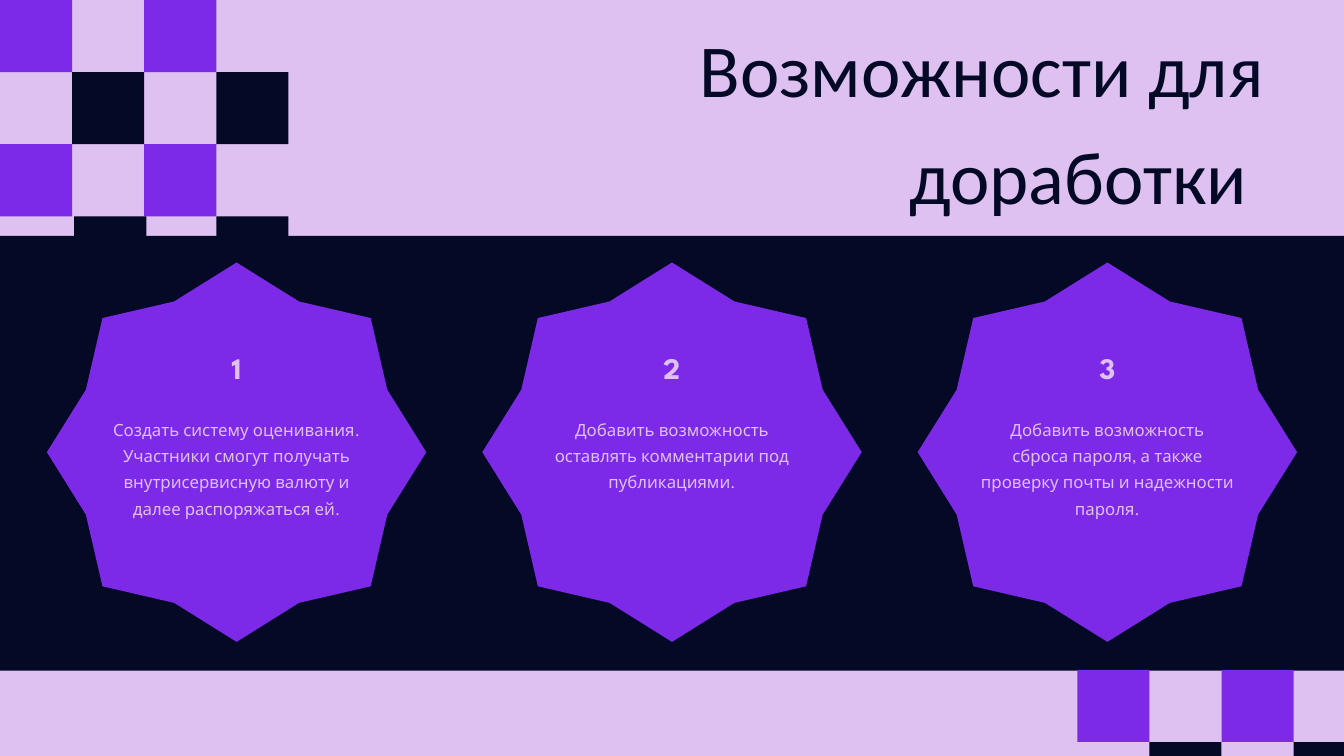
from pptx import Presentation
from pptx.dml.color import RGBColor
from pptx.enum.shapes import MSO_SHAPE as Kind
from pptx.enum.text import MSO_ANCHOR as Anchor, MSO_AUTO_SIZE as Fit, PP_ALIGN as Align
from pptx.util import Pt

PX = 9525  # EMU in one px
WIDTH, HEIGHT = 1920, 1080
LILAC = RGBColor(0xDE, 0xC0, 0xF1)
VIOLET = RGBColor(0x7D, 0x2A, 0xE8)
NAVY = RGBColor(0x04, 0x09, 0x26)

TILE = 103
CARDS = [
    "Создать систему оценивания. Участники смогут получать "
    "внутрисервисную валюту и далее распоряжаться ей.",
    "Добавить возможность оставлять комментарии под публикациями.",
    "Добавить возможность сброса пароля, а также проверку почты "
    "и надежности пароля.",
]


class Deck:
    """Holds the style and the current slide."""

    font = "League Spartan"

    def __init__(self):
        self.prs = Presentation()
        self.prs.slide_width = WIDTH * PX
        self.prs.slide_height = HEIGHT * PX
        self.slide = self.prs.slides.add_slide(self.prs.slide_layouts[5])
        back = self.slide.background.fill
        back.solid()
        back.fore_color.rgb = LILAC

    def shape(self, kind, x, y, w, h, color):
        item = self.slide.shapes.add_shape(kind, x * PX, y * PX, w * PX, h * PX)
        item.shadow.inherit = False
        item.fill.solid()
        item.fill.fore_color.rgb = color
        item.line.fill.background()
        return item

    def tile(self, x, y, color):
        """Draw a square, cut at the slide's edges."""
        self.shape(Kind.RECTANGLE, x, y,
                   min(TILE, WIDTH - x), min(TILE, HEIGHT - y), color)

    def star(self, mid, y, size):
        item = self.shape(Kind.STAR_8_POINT, mid - size // 2, y, size, size, VIOLET)
        item.adjustments[0] = 0.43

    def set_text(self, item, text, size, color, font, align, gap, bold=False):
        frame = item.text_frame
        frame.text = text
        frame.word_wrap = True
        frame.auto_size = Fit.NONE
        frame.vertical_anchor = Anchor.TOP
        frame.margin_left = frame.margin_right = 0
        frame.margin_top = frame.margin_bottom = 0
        para = frame.paragraphs[0]
        para.alignment = align
        para.line_spacing = gap
        para.space_before = Pt(0)
        style = para.runs[0].font
        style.name, style.size, style.bold = font, Pt(size), bold
        style.color.rgb = color

    def title(self, text, x, y, w, h):
        item = self.slide.shapes.title
        item.left, item.top = x * PX, y * PX
        item.width, item.height = w * PX, h * PX
        self.set_text(item, text, 80, NAVY, "Calibri", Align.RIGHT, 1.2)

    def label(self, text, mid, y, w, h, size, bold=False):
        item = self.slide.shapes.add_textbox(
            (mid - w // 2) * PX, y * PX, w * PX, h * PX)
        self.set_text(item, text, size, LILAC, self.font, Align.CENTER, 1.3, bold)


def main():
    deck = Deck()
    deck.title("Возможности для доработки ", 513, 7, 1293, 310)

    # Checkered corner at the top left; the band covers its last row
    for row in range(4):
        for col in range(row % 2, 4, 2):
            nudge = 3 if (row, col) == (3, 1) else 0
            deck.tile(col * TILE + nudge, row * TILE, NAVY if row % 2 else VIOLET)

    # Dark band
    deck.shape(Kind.RECTANGLE, 0, 337, WIDTH, 621, NAVY)

    # Checkered corner at the bottom right
    for col in range(4):
        odd = col % 2
        deck.tile(1539 + col * TILE, 957 + odd * TILE, NAVY if odd else VIOLET)

    # Numbered stars
    for num, text in enumerate(CARDS, 1):
        mid = WIDTH // 2 + (num - 2) * 622
        deck.star(mid, 375, 542)
        deck.label(str(num), mid, 484, 326, 67, 32, bold=True)
        deck.label(text, mid, 591, 362, 152, 18)

    deck.prs.save("out.pptx")


if __name__ == "__main__":
    main()
